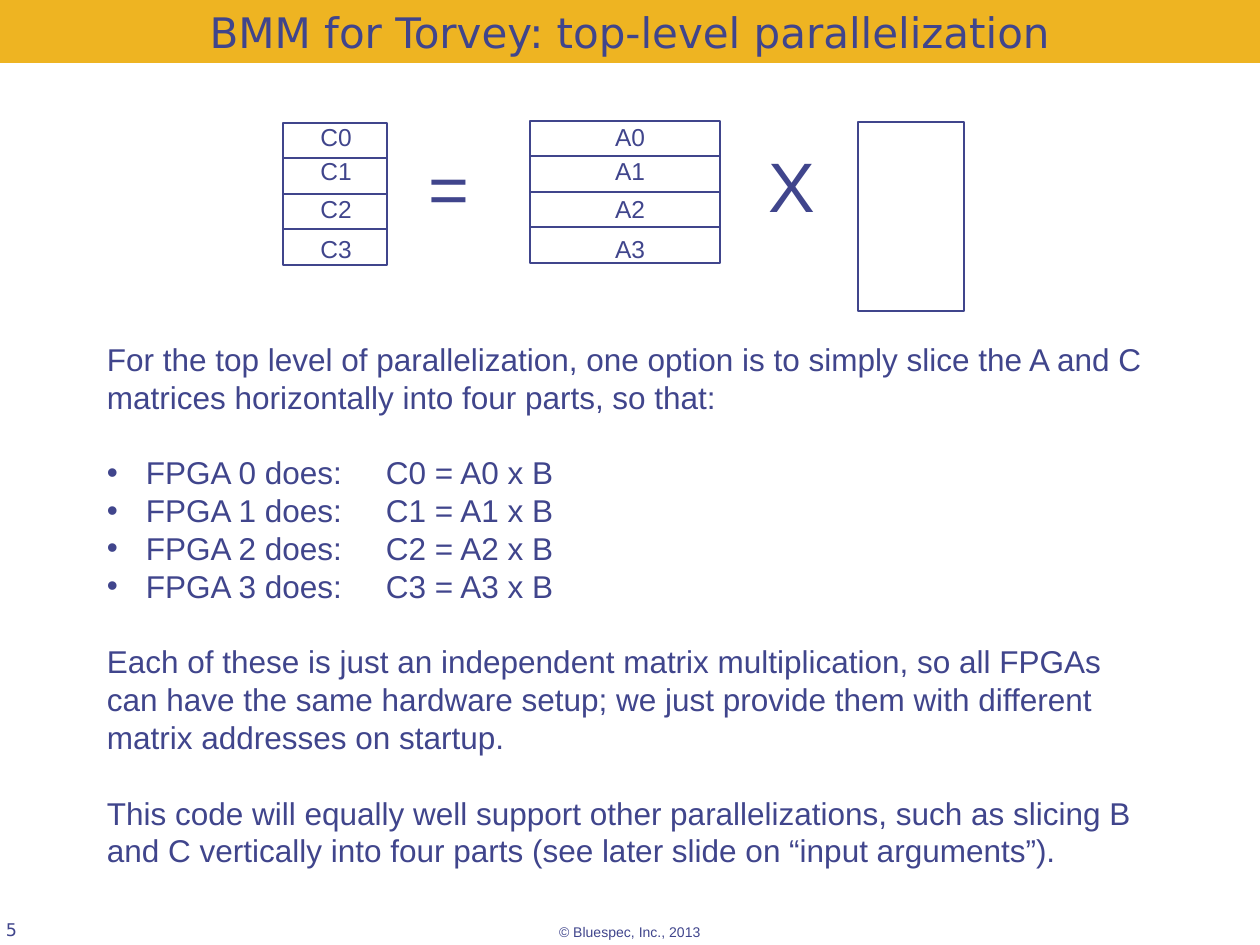
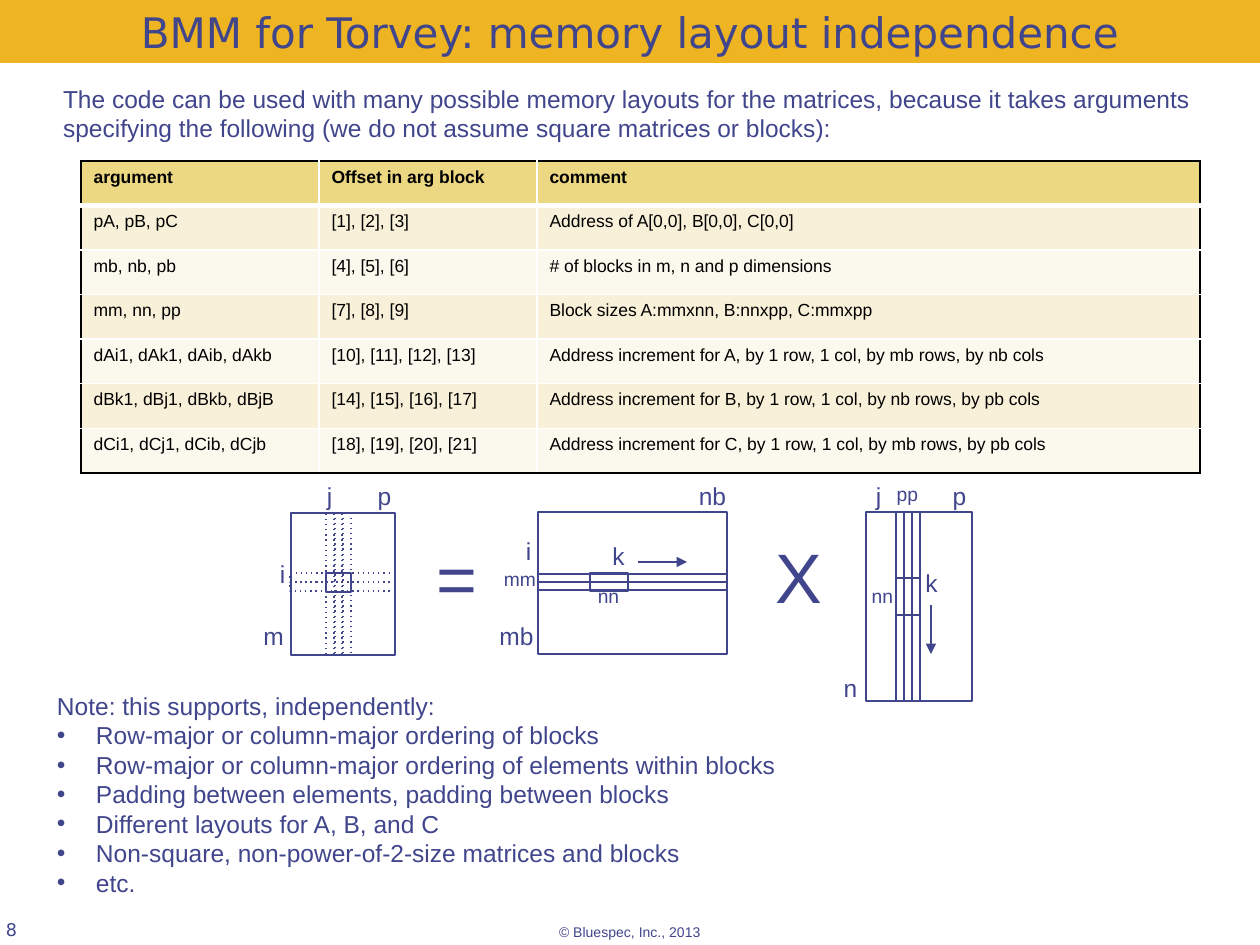
from dataclasses import dataclass

from lxml import etree
from pptx import Presentation
from pptx.dml.color import RGBColor
from pptx.enum import shapes, text
from pptx.oxml import ns
from pptx.util import Emu, Pt

EMU_PER_PX = 914400 / 126
CENTER, LEFT = text.PP_ALIGN.CENTER, text.PP_ALIGN.LEFT


def px(length):
    return Emu(round(length * EMU_PER_PX))


def add_xml(parent, tag, **attributes):
    return etree.SubElement(parent, ns.qn(tag), attributes)


@dataclass(frozen=True)
class Theme:
    ink: str = "40458C"
    band: str = "EEB422"
    black: str = "000000"
    white: str = "FFFFFF"
    header_fill: str = "ECD882"
    row_fills: tuple = ("F8F0D8", "FBF8ED")
    body_font: str = "Arial"
    title_font: str = "DejaVu Sans"
    title: int = 24
    body: int = 18
    small: int = 14
    tiny: int = 11
    cell: int = 10
    footer: int = 8
    symbol: int = 40
    line: float = 0.75
    blank_line: float = 21.6


class Deck:
    """Holds the style and the slide being drawn."""

    label_heights = {Theme.tiny: 37, Theme.small: 43, Theme.symbol: 97}

    def __init__(self, theme):
        self.theme = theme
        self.presentation = Presentation()
        self.presentation.slide_width = px(1260)
        self.presentation.slide_height = px(945)
        self.slide = None

    # Slide frame: title band, number, copyright line
    def new_slide(self, title, number):
        theme = self.theme
        self.slide = self.presentation.slides.add_slide(self.presentation.slide_layouts[6])
        self.text(["© Bluespec, Inc., 2013"], 546, 917, 168, 30, theme.footer, wrap=False)
        self.text([number], 6, 877, 262, 63, theme.cell, font=theme.title_font,
                  margins=(0, 0), anchor=text.MSO_ANCHOR.BOTTOM)
        band = self.box(0, 0, 1260, 63, fill=theme.band)
        self.fill_frame(band.text_frame, [title], theme.title, font=theme.title_font,
                        align=CENTER, margins=(0, 6), anchor=text.MSO_ANCHOR.BOTTOM)

    # Text
    def style_paragraph(self, paragraph, size, font=None, color=None, bold=False):
        formats = {"name": font or self.theme.body_font, "size": Pt(size), "bold": bold}
        for name, value in formats.items():
            setattr(paragraph.font, name, value)
        paragraph.font.color.rgb = RGBColor.from_string(color or self.theme.ink)

    def fill_frame(self, frame, lines, size, font=None, align=LEFT, wrap=True,
                   margins=(13, 6), anchor=text.MSO_ANCHOR.TOP, gaps=(), tab=None):
        side, edge = map(px, margins)
        formats = {"word_wrap": wrap, "vertical_anchor": anchor,
                   "margin_left": side, "margin_right": side,
                   "margin_top": edge, "margin_bottom": edge}
        for name, value in formats.items():
            setattr(frame, name, value)
        for index, line in enumerate(lines):
            paragraph = frame.paragraphs[0] if index == 0 else frame.add_paragraph()
            paragraph.alignment = align
            if index in gaps:
                paragraph.space_before = Pt(self.theme.blank_line)
            if line.startswith("• "):
                self.add_bullet(paragraph, tab)
            paragraph.add_run().text = line.removeprefix("• ")
            self.style_paragraph(paragraph, size, font)

    def add_bullet(self, paragraph, tab):
        properties = paragraph._p.get_or_add_pPr()
        properties.set("marL", str(px(39)))
        properties.set("indent", str(-px(39)))
        add_xml(properties, "a:buFont", typeface=self.theme.body_font)
        add_xml(properties, "a:buChar", char="•")
        if tab:
            tabs = add_xml(properties, "a:tabLst")
            add_xml(tabs, "a:tab", pos=str(px(tab)), algn="l")

    def text(self, lines, left, top, width, height, size, **formats):
        box = self.slide.shapes.add_textbox(*map(px, (left, top, width, height)))
        self.fill_frame(box.text_frame, lines, size, **formats)

    def label(self, caption, left, top, width, size=Theme.small):
        self.text([caption], left, top, width, self.label_heights[size], size,
                  align=CENTER, wrap=False, margins=(0, 6))

    # Shapes and lines
    def box(self, left, top, width, height, fill=None, dotted=False):
        shape = self.slide.shapes.add_shape(shapes.MSO_SHAPE.RECTANGLE,
                                            *map(px, (left, top, width, height)))
        shape.shadow.inherit = False
        if fill:
            shape.fill.solid()
            shape.fill.fore_color.rgb = RGBColor.from_string(fill)
            shape.line.fill.background()
        else:
            shape.fill.background()
            self.style_line(shape.line)
            if dotted:
                add_xml(shape.line._get_or_add_ln(), "a:prstDash", val="dot")
        return shape

    def style_line(self, line):
        line.color.rgb = RGBColor.from_string(self.theme.ink)
        line.width = Pt(self.theme.line)

    def line(self, x1, y1, x2, y2, arrow=False):
        connector = self.slide.shapes.add_connector(shapes.MSO_CONNECTOR.STRAIGHT,
                                                    *map(px, (x1, y1, x2, y2)))
        self.style_line(connector.line)
        if arrow:
            add_xml(connector.line._get_or_add_ln(), "a:tailEnd", type="triangle")
        add_xml(connector._element.spPr, "a:effectLst")
        return connector

    def sliced_matrix(self, name, left, top, width, height, label_left, label_tops):
        matrix = self.box(left, top, width, height)
        for part in (1, 2, 3):
            y = top + height * part // 4
            cut = self.line(left, y, left + width, y)
            if part == 2:
                cut.begin_connect(matrix, 1)
                cut.end_connect(matrix, 3)
        for part, label_top in enumerate(label_tops):
            self.label(f"{name}{part}", label_left, label_top, 56)

    # Table
    def table(self, rows, left, top, widths, height):
        theme = self.theme
        frame = self.slide.shapes.add_table(len(rows), len(widths), px(left), px(top),
                                            px(sum(widths)), px(height))
        table = frame.table
        for column, width in zip(table.columns, widths):
            column.width = px(width)
        last_row, last_column = len(rows) - 1, len(widths) - 1
        for r, row in enumerate(rows):
            for c, value in enumerate(row):
                cell = table.cell(r, c)
                cell.text = value
                self.style_paragraph(cell.text_frame.paragraphs[0], theme.cell,
                                     color=theme.black, bold=r == 0)
                outer = {"a:lnL": c == 0, "a:lnR": c == last_column,
                         "a:lnT": r == 0, "a:lnB": r == last_row}
                for side, is_outer in outer.items():
                    thick = (side, r) in (("a:lnB", 0), ("a:lnT", 1))
                    self.cell_border(cell, side, theme.black if is_outer else theme.white,
                                     3 if thick else 1)
                cell.fill.solid()
                fill = theme.row_fills[(r - 1) % 2] if r else theme.header_fill
                cell.fill.fore_color.rgb = RGBColor.from_string(fill)

    def cell_border(self, cell, side, color, width):
        border = add_xml(cell._tc.get_or_add_tcPr(), side, w=str(Pt(width)))
        add_xml(add_xml(border, "a:solidFill"), "a:srgbClr", val=color)


def parallelization_slide(deck):
    deck.new_slide("BMM for Torvey: top-level parallelization", "5")

    # C = A x B, with A and C cut into four slices
    slice_tops = (116, 150, 188, 228)
    deck.sliced_matrix("C", 283, 123, 104, 142, 308, slice_tops)
    deck.sliced_matrix("A", 530, 121, 190, 142, 602, slice_tops)
    deck.box(858, 122, 106, 189)
    deck.label("=", 415, 139, 67, Theme.symbol)
    deck.label("X", 755, 136, 73, Theme.symbol)

    # Explanation
    work = [f"• FPGA {n} does:\tC{n} = A{n} x B" for n in range(4)]
    deck.text([
        "For the top level of parallelization, one option is to simply slice the A and C "
        "matrices horizontally into four parts, so that:",
        *work,
        "Each of these is just an independent matrix multiplication, so all FPGAs can have "
        "the same hardware setup; we just provide them with different matrix addresses on "
        "startup.",
        "This code will equally well support other parallelizations, such as slicing B and C "
        "vertically into four parts (see later slide on “input arguments”).",
    ], 94, 334, 1068, 547, Theme.body, gaps=(1, 5, 6), tab=279)


def memory_layout_slide(deck):
    deck.new_slide("BMM for Torvey: memory layout independence", "8")
    deck.text(["The code can be used with many possible memory layouts for the matrices, "
               "because it takes arguments specifying the following (we do not assume square "
               "matrices or blocks):"], 50, 78, 1167, 72, Theme.small)

    # Arguments
    increment = "Address increment for {}, by 1 row, 1 col, by {} rows, by {} cols"
    deck.table([
        ("argument", "Offset in arg block", "comment"),
        ("pA, pB, pC", "[1], [2], [3]", "Address of A[0,0], B[0,0], C[0,0]"),
        ("mb, nb, pb", "[4], [5], [6]", "# of blocks in m, n and p dimensions"),
        ("mm, nn, pp", "[7], [8], [9]", "Block sizes A:mmxnn, B:nnxpp, C:mmxpp"),
        ("dAi1, dAk1, dAib, dAkb", "[10], [11], [12], [13]", increment.format("A", "mb", "nb")),
        ("dBk1, dBj1, dBkb, dBjB", "[14], [15], [16], [17]", increment.format("B", "nb", "pb")),
        ("dCi1, dCj1, dCib, dCjb", "[18], [19], [20], [21]", increment.format("C", "mb", "pb")),
    ], 81, 161, (238, 218, 663), 312)

    # Matrices, and the current block in each
    matrices = [(291, 513, 104, 142), (538, 512, 189, 142), (866, 512, 106, 189)]
    blocks = [(326, 573, 25, 19), (590, 573, 38, 18), (896, 578, 24, 37)]
    for bounds in matrices + blocks:
        deck.box(*bounds)

    # Rows and columns inside the blocks
    for i in range(2):
        deck.box(290, 573 + 9 * i, 105, 9, dotted=True)
        deck.box(538, 574 + 8 * i, 189, 8)
    for i in range(3):
        deck.box(326 + 8 * i, 513, 9, 142, dotted=True)
        deck.box(896 + 8 * i, 512, 8, 189)

    # Index directions
    deck.line(638, 562, 687, 562, arrow=True)
    deck.line(931, 605, 931, 654, arrow=True)

    # Dimension and index names
    for caption, left, top, width in [
        ("j", 313, 475, 33), ("p", 365, 475, 39), ("i", 267, 553, 31), ("m", 250, 615, 47),
        ("nb", 686, 475, 53), ("i", 513, 530, 31), ("k", 599, 535, 39), ("mb", 487, 615, 59),
        ("j", 862, 475, 33), ("p", 940, 475, 39), ("k", 912, 562, 39), ("n", 831, 667, 39),
    ]:
        deck.label(caption, left, top, width)
    for caption, left, top, width in [("mm", 491, 561, 58), ("nn", 585, 578, 47),
                                      ("nn", 859, 578, 47), ("pp", 884, 476, 47)]:
        deck.label(caption, left, top, width, Theme.tiny)
    deck.label("=", 423, 529, 67, Theme.symbol)
    deck.label("X", 762, 527, 73, Theme.symbol)

    # Supported layouts
    deck.text(["Note: this supports, independently:",
               "• Row-major or column-major ordering of blocks",
               "• Row-major or column-major ordering of elements within blocks",
               "• Padding between elements, padding between blocks",
               "• Different layouts for A, B, and C",
               "• Non-square, non-power-of-2-size matrices and blocks",
               "• etc."], 44, 685, 1167, 221, Theme.small)


def main():
    deck = Deck(Theme())
    parallelization_slide(deck)
    memory_layout_slide(deck)
    deck.presentation.save("out.pptx")


if __name__ == "__main__":
    main()
